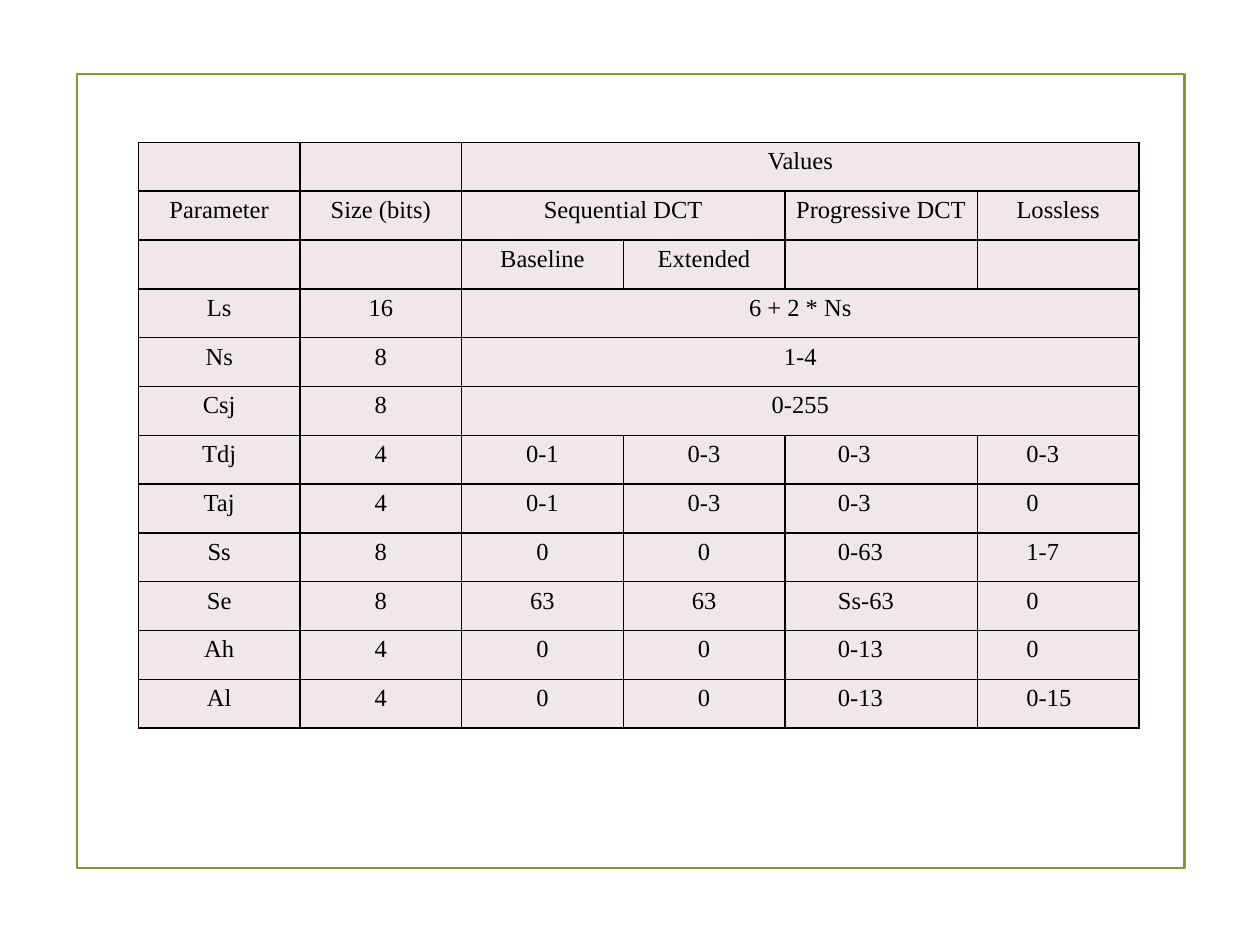
from collections import namedtuple
from dataclasses import dataclass

from lxml.etree import SubElement
from pptx import Presentation
from pptx.dml.color import RGBColor
from pptx.enum.shapes import MSO_SHAPE as Shape
from pptx.enum.text import MSO_ANCHOR as Anchor, PP_ALIGN as Align
from pptx.oxml.ns import qn
from pptx.util import Cm, Pt

Box = namedtuple("Box", "left top width height")


@dataclass(frozen=True)
class Theme:
    """Colours, type and line weights of the slide."""
    font: str = "Times New Roman"
    size: float = 14
    leading: float = 9.5
    ink: str = "000000"
    cell: str = "F0E8E8"
    frame: str = "83992A"
    rule: float = 1
    frame_rule: float = 1.25


THEME = Theme()
HEADER_ROWS = 3
WIDE_COLUMN, WIDE_WIDTH = 4, 3.88
INDENTS = {4: 0.89, 5: 0.81}
ROWS = [
    ["", "", "Values", None, None, None],
    ["Parameter", "Size (bits)", "Sequential DCT", None, "Progressive DCT", "Lossless"],
    ["", "", "Baseline", "Extended", "", ""],
    ["Ls", "16", "6 + 2 * Ns", None, None, None],
    ["Ns", "8", "1-4", None, None, None],
    ["Csj", "8", "0-255", None, None, None],
    ["Tdj", "4", "0-1", "0-3", "0-3", "0-3"],
    ["Taj", "4", "0-1", "0-3", "0-3", "0"],
    ["Ss", "8", "0", "0", "0-63", "1-7"],
    ["Se", "8", "63", "63", "Ss-63", "0"],
    ["Ah", "4", "0", "0", "0-13", "0"],
    ["Al", "4", "0", "0", "0-13", "0-15"],
]


def add_frame(page, box):
    """Draw the outline around the slide content."""
    frame = page.shapes.add_shape(Shape.RECTANGLE, *map(Cm, box))
    frame.shadow.inherit = False
    frame.fill.background()
    frame.line.color.rgb = RGBColor.from_string(THEME.frame)
    frame.line.width = Pt(THEME.frame_rule)


def style_cell(cell):
    """Give a cell its borders, fill and margins."""
    properties = cell._tc.get_or_add_tcPr()
    for side in ("lnL", "lnR", "lnT", "lnB"):
        line = SubElement(properties, qn(f"a:{side}"), w=str(Pt(THEME.rule)))
        fill = SubElement(line, qn("a:solidFill"))
        SubElement(fill, qn("a:srgbClr"), val=THEME.ink)
    cell.fill.solid()
    cell.fill.fore_color.rgb = RGBColor.from_string(THEME.cell)
    cell.vertical_anchor = Anchor.MIDDLE
    cell.margin_left = cell.margin_right = Cm(0.18)
    cell.margin_top = cell.margin_bottom = 0


def write_cell(cell, text, row, column):
    """Set the text of a cell, spaced and aligned by its place in the table."""
    cell.text = text
    para = cell.text_frame.paragraphs[0]
    para.line_spacing = Pt(THEME.leading)
    if row >= HEADER_ROWS:
        before, after = 5, 5
    elif text and column in INDENTS:
        before, after = 8.5, 0
    else:
        before, after = 4.3, 4.3
    para.space_before, para.space_after = Pt(before), Pt(after)
    if row >= HEADER_ROWS and column in INDENTS:
        para.alignment = Align.LEFT
        para._p.get_or_add_pPr().set("marL", str(Cm(INDENTS[column])))
    else:
        para.alignment = Align.CENTER
    para.font.name = THEME.font
    para.font.size = Pt(THEME.size)
    para.font.color.rgb = RGBColor.from_string(THEME.ink)


def add_parameter_table(page, box):
    """Place the table of scan header parameters in the box."""
    columns = len(ROWS[0])
    table = page.shapes.add_table(len(ROWS), columns, *map(Cm, box)).table
    table.first_row = table.horz_banding = False
    narrow = (box.width - WIDE_WIDTH) / (columns - 1)
    for index, column in enumerate(table.columns):
        column.width = Cm(WIDE_WIDTH if index == WIDE_COLUMN else narrow)
    for row, texts in enumerate(ROWS):
        table.rows[row].height = Cm(box.height / len(ROWS))
        for column, text in enumerate(texts):
            cell = table.cell(row, column)
            style_cell(cell)
            if text is not None:
                write_cell(cell, text, row, column)
                end = column
                while end + 1 < columns and texts[end + 1] is None:
                    end += 1
                if end > column:
                    cell.merge(table.cell(row, end))


def main():
    """Build the deck and save it."""
    deck = Presentation()
    deck.slide_width, deck.slide_height = Cm(25.4), Cm(19.05)
    page = deck.slides.add_slide(deck.slide_layouts[6])
    add_frame(page, Box(1.55, 1.5, 22.33, 16))
    add_parameter_table(page, Box(2.79, 2.87, 20.17, 11.81))
    deck.save("out.pptx")


if __name__ == "__main__":
    main()
